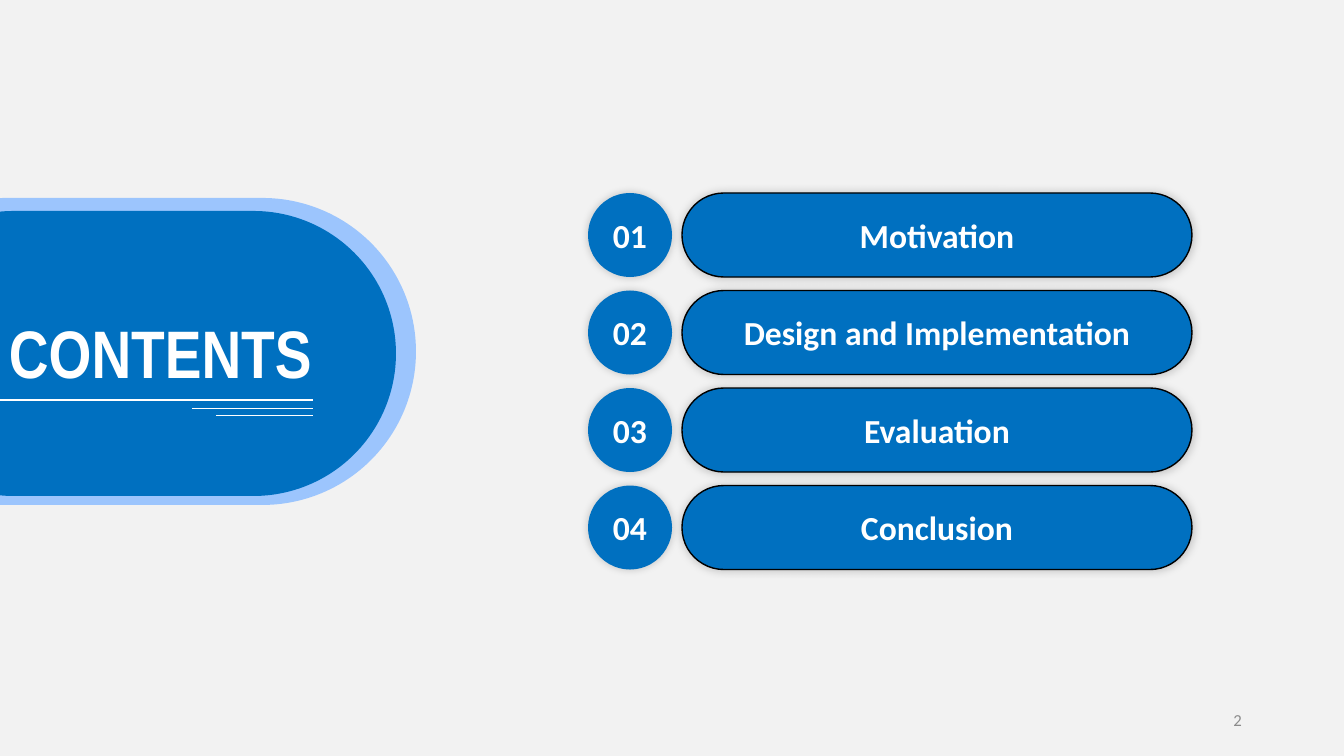
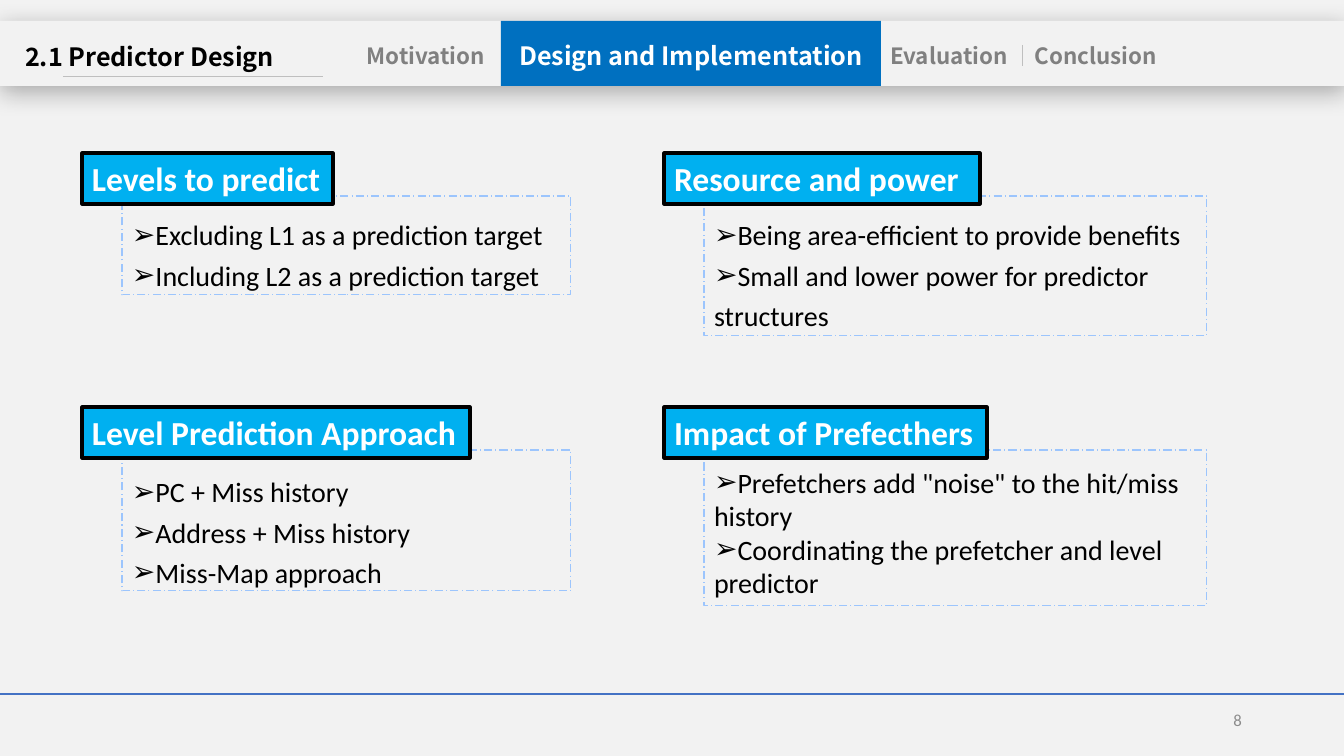
import pptx
import pptx.util
import pptx.dml.color
import pptx.enum.dml
import pptx.enum.shapes
import pptx.enum.text
import pptx.oxml
import pptx.oxml.ns

RGBColor = pptx.dml.color.RGBColor
Pt = pptx.util.Pt
SHAPE = pptx.enum.shapes.MSO_SHAPE
ALIGN = pptx.enum.text.PP_ALIGN
ANCHOR = pptx.enum.text.MSO_ANCHOR

PAPER = RGBColor(0xF2, 0xF2, 0xF2)
BLUE = RGBColor(0x00, 0x70, 0xC0)
PALE_BLUE = RGBColor(0x9C, 0xC5, 0xFD)
SKY = RGBColor(0x00, 0xB0, 0xF0)
RULE_BLUE = RGBColor(0x44, 0x72, 0xC4)
WHITE = RGBColor(0xFF, 0xFF, 0xFF)
BLACK = RGBColor(0x00, 0x00, 0x00)
GREY = RGBColor(0x80, 0x80, 0x80)
NUMBER_GREY = RGBColor(0x8C, 0x8C, 0x8C)
LIGHT_GREY = RGBColor(0xBF, 0xBF, 0xBF)

EMU_PER_PX = 914400 / 100.8
WIDTH, HEIGHT = 1344, 756
HEADER_TOP, HEADER_HEIGHT = 21, 65
INSETS = (10, 5, 10, 5)
TAB_INSETS = (0, 4, 0, 4)

COVER = ({"name": "Arial Narrow", "size": Pt(48), "bold": True}, WHITE)
HEADING = ({"name": "Noto Sans CJK SC", "size": Pt(18), "bold": True}, BLACK)
TAB = ({"name": "Noto Sans CJK SC", "size": Pt(16), "bold": True}, GREY)
ACTIVE_TAB = (HEADING[0], WHITE)
LABEL = ({"name": "Calibri", "size": Pt(24), "bold": True}, WHITE)
BODY = ({"name": "Calibri", "size": Pt(20), "bold": False}, BLACK)
NUMBER = ({"name": "Calibri", "size": Pt(12), "bold": False}, NUMBER_GREY)

SOFT_SHADOW = {"alpha": 20, "blur": 6, "distance": 0, "angle": 315}
HEADER_SHADOW = {"alpha": 29, "blur": 18, "distance": 4, "angle": 90}

SECTIONS = ["Motivation", "Design and Implementation", "Evaluation", "Conclusion"]
ACTIVE_SECTION = "Design and Implementation"
TAB_SPANS = [(362, 128), (501, 380), (875, 148), (1022, 148)]
COVER_RULES = [(0, 400, 1), (192, 408, 0.5), (216, 415, 0.5)]
PILLS = [((-148, 198, 564, 307), PALE_BLUE), ((-129, 211, 525, 285), BLUE)]

COLUMNS = [(82, 449), (664, 503)]
ROW_TOPS = [153, 407]
TOPICS = [
    {"tag": "Levels to predict", "tag_width": 251, "height": 99, "inset": 15, "spacing": 1.2,
     "lines": ["Excluding L1 as a prediction target",
               "Including L2 as a prediction target"]},
    {"tag": "Resource and power", "tag_width": 316, "height": 140, "inset": 15, "spacing": 1.2,
     "lines": ["Being area-efficient to provide benefits",
               "Small and lower power for predictor structures"]},
    {"tag": "Level Prediction Approach", "tag_width": 388, "height": 141, "inset": 18, "spacing": 1.2,
     "lines": ["PC + Miss history", "Address + Miss history", "Miss-Map approach"]},
    {"tag": "Impact of Prefecthers", "tag_width": 323, "height": 156, "inset": 15, "spacing": 1.0,
     "lines": ['Prefetchers add "noise" to the hit/miss history',
               "Coordinating the prefetcher and level predictor"]},
]


def px(value):
    return pptx.util.Emu(round(value * EMU_PER_PX))


def element(tag, parent, **attributes):
    node = pptx.oxml.parse_xml(f"<{tag} {pptx.oxml.ns.nsdecls('a')}/>")
    for name, value in attributes.items():
        node.set(name, str(value))
    parent.append(node)
    return node


def place(holder, box):
    for name, value in zip(("left", "top", "width", "height"), box):
        setattr(holder, name, px(value))


def format_font(font, look):
    values, color = look
    for name, value in values.items():
        setattr(font, name, value)
    font.color.rgb = color


def set_frame(holder, anchor=ANCHOR.TOP, insets=INSETS):
    frame = holder.text_frame
    sides = ("margin_left", "margin_top", "margin_right", "margin_bottom")
    values = dict(zip(sides, map(px, insets)), word_wrap=True, vertical_anchor=anchor,
                  auto_size=pptx.enum.text.MSO_AUTO_SIZE.NONE)
    for name, value in values.items():
        setattr(frame, name, value)
    return frame


def write(holder, text, look, align=ALIGN.CENTER, anchor=ANCHOR.TOP, insets=INSETS):
    para = set_frame(holder, anchor, insets).paragraphs[0]
    para.alignment = align
    span = para.add_run()
    span.text = text
    format_font(span.font, look)


def add_text(slide, box, *args, **kwargs):
    holder = slide.shapes.add_textbox(*map(px, box))
    write(holder, *args, **kwargs)


def add_block(slide, kind, box, fill, line=None, weight=1, shadow=None):
    shape = slide.shapes.add_shape(kind, *map(px, box))
    if kind == SHAPE.ROUNDED_RECTANGLE:
        shape.adjustments[0] = 0.5
    shape.fill.solid()
    shape.fill.fore_color.rgb = fill
    if line is None:
        shape.line.fill.background()
    else:
        shape.line.color.rgb = line
        shape.line.width = Pt(weight)
    shape.shadow.inherit = False
    if shadow:
        effects = shape.element.spPr.find(pptx.oxml.ns.qn("a:effectLst"))
        outer = element("a:outerShdw", effects, blurRad=Pt(shadow["blur"]),
                        dist=Pt(shadow["distance"]), dir=shadow["angle"] * 60000,
                        algn="ctr", rotWithShape=0)
        tint = element("a:srgbClr", outer, val=BLACK)
        element("a:alpha", tint, val=shadow["alpha"] * 1000)
    return shape


def add_rule(slide, start, end, color, weight):
    rule = slide.shapes.add_connector(pptx.enum.shapes.MSO_CONNECTOR.STRAIGHT,
                                      *map(px, start + end))
    rule.line.color.rgb = color
    rule.line.width = Pt(weight)
    element("a:effectLst", rule.element.spPr)


def add_title(slide, box, text, look, **kwargs):
    title = slide.shapes.title
    slide.shapes.element.append(title.element)
    place(title, box)
    write(title, text, look, **kwargs)


def add_page(deck, layout, number):
    page = deck.slides.add_slide(deck.slide_layouts.get_by_name(layout))
    add_text(page, (950, 700, 302, 40), number, NUMBER, align=ALIGN.RIGHT, anchor=ANCHOR.MIDDLE)
    return page


def fill_list(holder, topic, box):
    place(holder, box)
    holder.line.color.rgb = PALE_BLUE
    holder.line.width = Pt(0.75)
    holder.line.dash_style = pptx.enum.dml.MSO_LINE.LONG_DASH_DOT
    frame = set_frame(holder, insets=(10, topic["inset"], 10, 5))
    frame.text = "\n".join(topic["lines"])
    for para in frame.paragraphs:
        properties = para._p.get_or_add_pPr()
        properties.set("marL", "0")
        properties.set("indent", str(-px(31)))
        element("a:buChar", properties, char="➢")
        para.line_spacing = topic["spacing"]
        para.space_before = Pt(0)
        para.alignment = ALIGN.LEFT
        for span in para.runs:
            format_font(span.font, BODY)


def build_contents(deck):
    page = add_page(deck, "Title Only", "2")
    for box, fill in PILLS:
        add_block(page, SHAPE.ROUNDED_RECTANGLE, box, fill)
    for index, section in enumerate(SECTIONS):
        top = 193 + 97.5 * index
        for left, width, text, line in ((588, 84, f"{index + 1:02}", None),
                                        (682, 510, section, BLACK)):
            block = add_block(page, SHAPE.ROUNDED_RECTANGLE, (left, top, width, 84), BLUE,
                              line, shadow=SOFT_SHADOW)
            write(block, text, LABEL, anchor=ANCHOR.MIDDLE)
    add_title(page, (-4, 306, 329, 92), "CONTENTS", COVER)
    for left, top, weight in COVER_RULES:
        add_rule(page, (left, top), (313, top), WHITE, weight)


def add_header(page, title):
    add_block(page, SHAPE.RECTANGLE, (0, HEADER_TOP, WIDTH, HEADER_HEIGHT), PAPER,
              shadow=HEADER_SHADOW)
    for section, (left, width) in zip(SECTIONS, TAB_SPANS):
        if section == ACTIVE_SECTION:
            block = add_block(page, SHAPE.RECTANGLE, (left, HEADER_TOP, width, HEADER_HEIGHT), BLUE)
            write(block, section, ACTIVE_TAB, insets=(0, 19, 0, 4))
        else:
            add_text(page, (left, 38, width, 35), section, TAB, insets=TAB_INSETS)
    add_rule(page, (1022, 45), (1022, 66), LIGHT_GREY, 0.5)
    add_title(page, (25, 37, 297, 39), title, HEADING, align=ALIGN.LEFT, insets=TAB_INSETS)
    add_rule(page, (63, 76), (323, 76), LIGHT_GREY, 0.5)


def build_design(deck):
    page = add_page(deck, "Comparison", "8")
    holders = [holder for holder in page.placeholders if holder.placeholder_format.idx > 0]
    add_header(page, "2.1 Predictor Design")
    for index, (holder, topic) in enumerate(zip(holders, TOPICS)):
        left, width = COLUMNS[index % 2]
        top = ROW_TOPS[index // 2]
        fill_list(holder, topic, (left + 40, top + 43, width, topic["height"]))
        tag = add_block(page, SHAPE.RECTANGLE, (left, top, topic["tag_width"], 51), SKY, BLACK, 2.25)
        write(tag, topic["tag"], LABEL, align=ALIGN.LEFT, insets=(10, 5, 0, 5))
    add_rule(page, (0, 694), (WIDTH, 694), RULE_BLUE, 1.5)


def main():
    deck = pptx.Presentation()
    deck.slide_width, deck.slide_height = px(WIDTH), px(HEIGHT)
    background = deck.slide_master.background.fill
    background.solid()
    background.fore_color.rgb = PAPER
    build_contents(deck)
    build_design(deck)
    deck.save("out.pptx")


if __name__ == "__main__":
    main()
